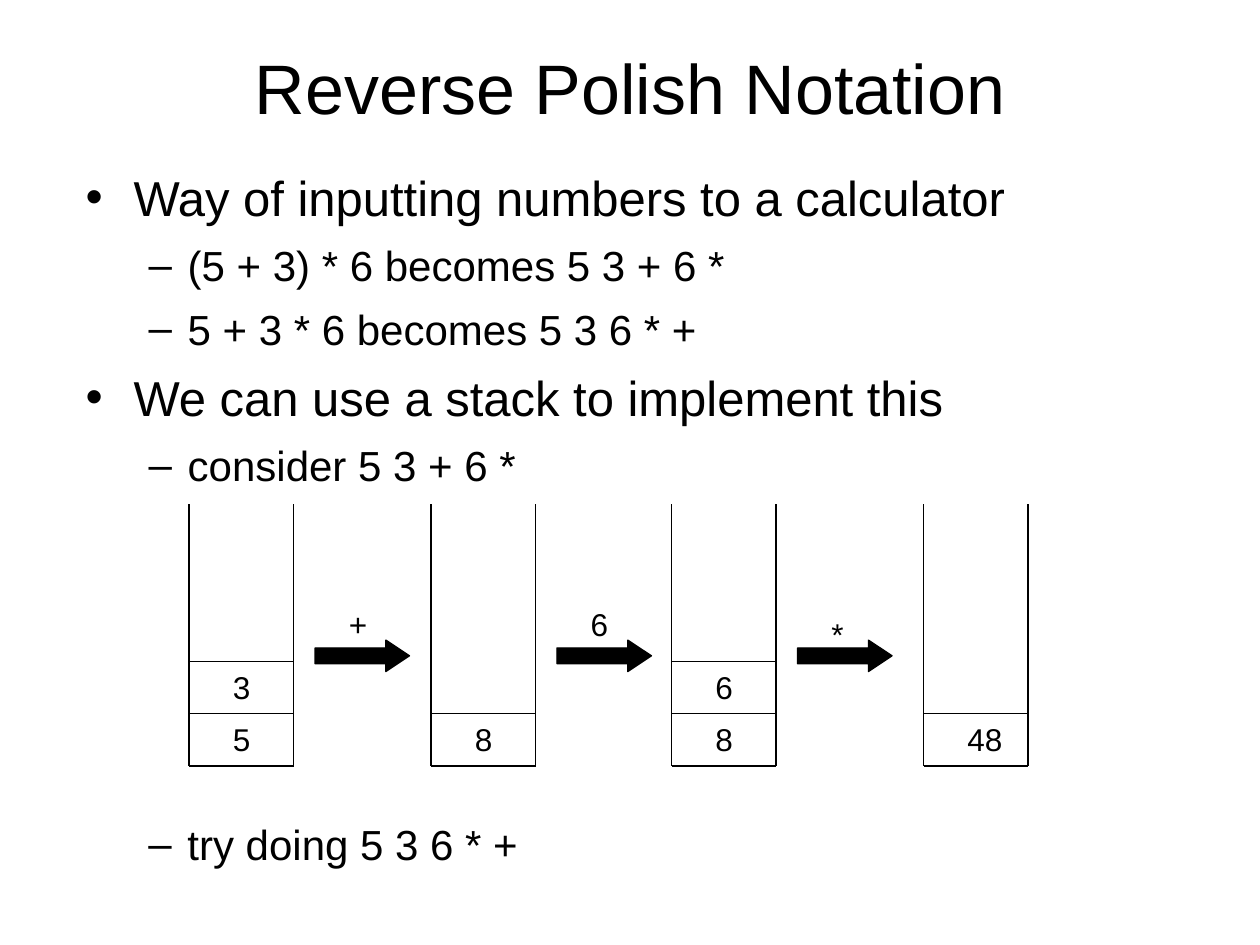
from lxml import etree
from pptx import Presentation
from pptx.dml.color import RGBColor
from pptx.enum.shapes import MSO_CONNECTOR, MSO_SHAPE
from pptx.enum.text import MSO_ANCHOR, MSO_AUTO_SIZE, PP_ALIGN
from pptx.oxml.ns import qn
from pptx.util import Inches, Pt

STRAIGHT = MSO_CONNECTOR.STRAIGHT
RIGHT_ARROW = MSO_SHAPE.RIGHT_ARROW
TOP, MIDDLE = MSO_ANCHOR.TOP, MSO_ANCHOR.MIDDLE
NO_FIT = MSO_AUTO_SIZE.NONE
LEFT, CENTER = PP_ALIGN.LEFT, PP_ALIGN.CENTER

FONT = "Arial"
BLACK = "000000"
STACK_WIDTH, STACK_HEIGHT, CELL_HEIGHT = 0.83, 2.08, 0.415
STACK_TOP = 4
LEVELS = [
    {"bullet": "•", "margin": 0.38, "hanging": 0.38, "size": 28, "before": 8},
    {"bullet": "–", "margin": 0.81, "hanging": 0.31, "size": 24, "before": 7.5},
]
OUTLINE = [
    (0, "Way of inputting numbers to a calculator"),
    (1, "(5 + 3) * 6 becomes 5 3 + 6 *"),
    (1, "5 + 3 * 6 becomes 5 3 6 * +"),
    (0, "We can use a stack to implement this"),
    (1, "consider 5 3 + 6 *"),
]
STACKS = [(1.5, ["5", "3"]), (3.42, ["8"]), (5.33, ["8", "6"]), (7.33, ["48"])]
OPERATIONS = [("+", 4.75), ("6", 4.75), ("*", 4.83)]


def color(value):
    """Return the colour for a hex string."""
    return RGBColor.from_string(value)


def place(shape, left, top, width, height):
    """Move and size a shape, in inches."""
    shape.left, shape.top = Inches(left), Inches(top)
    shape.width, shape.height = Inches(width), Inches(height)


def write(paragraph, text, size=18, align=LEFT, before=0):
    """Fill a paragraph with formatted text."""
    paragraph.text = text
    paragraph.alignment = align
    paragraph.space_before = Pt(before)
    paragraph.font.name = FONT
    paragraph.font.size = Pt(size)
    paragraph.font.color.rgb = color(BLACK)


def add_bullet(paragraph, bullet, margin, hanging):
    """Give a paragraph a hanging bullet."""
    properties = paragraph._p.get_or_add_pPr()
    properties.set("marL", str(Inches(margin)))
    properties.set("indent", str(-Inches(hanging)))
    font = etree.SubElement(properties, qn("a:buFont"))
    font.set("typeface", FONT)
    character = etree.SubElement(properties, qn("a:buChar"))
    character.set("char", bullet)


def fill_list(frame, items):
    """Write outline items, given as level and text, into a text frame."""
    frame.word_wrap = True
    frame.auto_size = NO_FIT
    frame.vertical_anchor = TOP
    frame.margin_top = Inches(0.08)
    for index, (level, text) in enumerate(items):
        paragraph = frame.add_paragraph() if index else frame.paragraphs[0]
        style = LEVELS[level]
        paragraph.level = level
        add_bullet(paragraph, style["bullet"], style["margin"], style["hanging"])
        write(paragraph, text, size=style["size"], before=style["before"] if index else 0)


def add_title(slide, text, left, top, width, height):
    """Place the slide title in its box."""
    title = slide.shapes.title
    place(title, left, top, width, height)
    title.text_frame.auto_size = NO_FIT
    title.text_frame.vertical_anchor = MIDDLE
    write(title.text_frame.paragraphs[0], text, size=40, align=CENTER)


def add_outline(slide, items, left, top, width, height):
    """Place the main list in the body placeholder."""
    body = slide.placeholders[1]
    place(body, left, top, width, height)
    fill_list(body.text_frame, items)


def add_exercise(slide, text, left, top, width, height):
    """Place the closing list item below the stacks."""
    box = slide.shapes.add_textbox(Inches(left), Inches(top), Inches(width), Inches(height))
    fill_list(box.text_frame, [(1, text)])


def add_label(slide, text, left, top):
    """Add a small unwrapped label sized to its characters."""
    width = 0.2 + 0.14 * len(text)
    box = slide.shapes.add_textbox(Inches(left), Inches(top), Inches(width), Inches(0.4))
    box.text_frame.word_wrap = False
    write(box.text_frame.paragraphs[0], text)


def add_line(slide, x1, y1, x2, y2):
    """Draw a thin black line without a shadow."""
    line = slide.shapes.add_connector(STRAIGHT, Inches(x1), Inches(y1), Inches(x2), Inches(y2))
    line.line.color.rgb = color(BLACK)
    line.line.width = Pt(0.75)
    etree.SubElement(line._element.spPr, qn("a:effectLst"))


def add_stack(slide, values, left, top, width, height):
    """Draw an open stack with its values from the bottom up."""
    right, bottom = left + width, top + height
    for x in (left, right):
        add_line(slide, x, top, x, bottom)
    add_line(slide, left, bottom, right, bottom)
    for index, value in enumerate(values, start=1):
        cell_top = bottom - index * CELL_HEIGHT
        add_line(slide, left, cell_top, right, cell_top)
        add_label(slide, value, left + 0.25, cell_top)


def add_operation(slide, text, label_top, left, top, width, height):
    """Draw the arrow to the next stack with its input above."""
    arrow = slide.shapes.add_shape(
        RIGHT_ARROW, Inches(left), Inches(top), Inches(width), Inches(height))
    arrow.adjustments[0], arrow.adjustments[1] = 0.5, 0.75
    arrow.shadow.inherit = False
    arrow.fill.solid()
    arrow.fill.fore_color.rgb = color(BLACK)
    arrow.line.color.rgb = color(BLACK)
    arrow.line.width = Pt(0.75)
    add_label(slide, text, left + 0.17, label_top)


def main():
    """Build and save the presentation."""
    presentation = Presentation()
    presentation.slide_width, presentation.slide_height = Inches(10), Inches(7.5)
    slide = presentation.slides.add_slide(presentation.slide_layouts[1])
    add_title(slide, "Reverse Polish Notation", 0.5, 0.3, 9, 0.78)
    add_outline(slide, OUTLINE, 0.58, 1.25, 9, 2.58)
    for left, values in STACKS:
        add_stack(slide, values, left, STACK_TOP, STACK_WIDTH, STACK_HEIGHT)
    for (left, _), (text, label_top) in zip(STACKS, OPERATIONS):
        add_operation(slide, text, label_top, left + STACK_WIDTH + 0.17, 5.08, 0.75, 0.25)
    add_exercise(slide, "try doing 5 3 6 * +", 0.58, 6.42, 8.83, 0.83)
    presentation.save("out.pptx")


if __name__ == "__main__":
    main()
